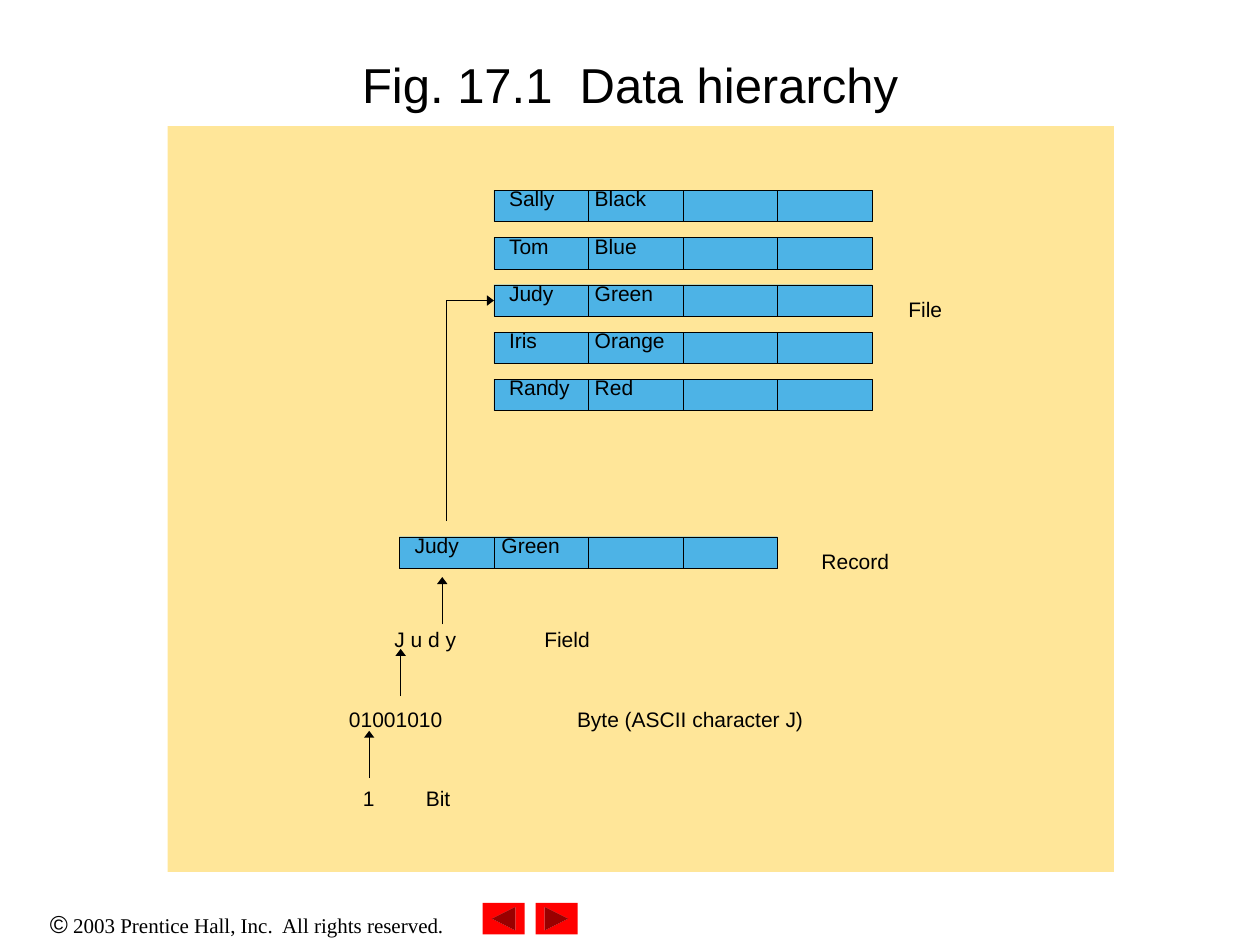
from collections import namedtuple
from dataclasses import dataclass

from lxml import etree
from pptx import Presentation
from pptx import util as u
from pptx.dml.color import RGBColor
from pptx.enum import shapes, text
from pptx.oxml.ns import qn

Box = namedtuple("Box", "x y w h")


@dataclass(frozen=True)
class Theme:
    ink: RGBColor = RGBColor(0, 0, 0)
    panel: RGBColor = RGBColor(0xFF, 0xE6, 0x99)
    bar: RGBColor = RGBColor(0x4D, 0xB3, 0xE6)
    button: RGBColor = RGBColor(0xFF, 0, 0)
    sans: str = "Arial"
    serif: str = "Times New Roman"
    title: int = 28
    mark: int = 14
    body: int = 12
    line: float = 0.25
    leading: float = 0.64


T = Theme()
COL, ROW = 0.75, 0.125  # diagram grid, inches
PEOPLE = [("Sally", "Black"), ("Tom", "Blue"), ("Judy", "Green"),
          ("Iris", "Orange"), ("Randy", "Red")]


def inches(*lengths):
    return [u.Inches(n) for n in lengths]


def style(r, size, font=T.sans):
    r.font.size = u.Pt(size)
    r.font.name = font
    r.font.color.rgb = T.ink


def write(tf, words, left=0, top=0):
    """Write one tightly led line at the top left of a frame."""
    tf.margin_left, tf.margin_top = inches(left, top)
    tf.margin_right = tf.margin_bottom = 0
    tf.vertical_anchor = text.MSO_ANCHOR.TOP
    p = tf.paragraphs[0]
    p.text = words
    p.alignment = text.PP_ALIGN.LEFT
    p.line_spacing = T.leading
    for r in p.runs:
        style(r, T.body)


def block(parent, kind, box, fill=None):
    sp = parent.add_shape(kind, *inches(*box))
    sp.shadow.inherit = False
    sp.line.fill.background()
    if fill is None:
        sp.fill.background()
    else:
        sp.fill.solid()
        sp.fill.fore_color.rgb = fill
    return sp


def outline(sp, color=T.ink, arrow=False):
    sp.line.color.rgb = color
    sp.line.width = u.Pt(T.line)
    if arrow:
        etree.SubElement(sp.line._get_or_add_ln(), qn("a:tailEnd"),
                         type="triangle", w="med", len="sm")


def label(parent, x, y, w, words):
    tf = parent.add_textbox(*inches(x, y, w, 2 * ROW)).text_frame
    tf.word_wrap = True
    write(tf, words)


def up_arrow(parent, x, y):
    sp = parent.add_connector(shapes.MSO_CONNECTOR.STRAIGHT,
                              *inches(x, y + 3 * ROW, x, y))
    outline(sp, arrow=True)
    etree.SubElement(sp._element.spPr, qn("a:effectLst"))


def record(parent, x, y, names, second=0.05):
    """A bar divided into four fields, the first two filled in."""
    rect = shapes.MSO_SHAPE.RECTANGLE
    bar = block(parent, rect, Box(x, y, 4 * COL, 2 * ROW), T.bar)
    outline(bar, T.bar)
    for i, (words, left) in enumerate(zip((*names, "", ""), (0.12, second, 0, 0))):
        field = block(parent, rect, Box(x + i * COL, y, COL, 2 * ROW))
        outline(field)
        if words:
            write(field.text_frame, words, left, 0.03)


def elbow_arrow(parent, x, y):
    """From above the record up to the left side of its row in the file."""
    pen = parent.build_freeform(*inches(x, y), scale=1.0)
    top = y - 14 * ROW
    pen.add_line_segments([inches(x, top), inches(x + COL / 2, top)], close=False)
    sp = pen.convert_to_shape()
    sp.shadow.inherit = False
    sp.fill.background()
    outline(sp, arrow=True)


def diagram(s, box):
    parent = s.shapes.add_group_shape().shapes
    block(parent, shapes.MSO_SHAPE.RECTANGLE, box, T.panel)
    left, top = box.x + 1.84, box.y + 0.51

    # File: one record every three rows
    for i, names in enumerate(PEOPLE):
        record(parent, left + COL, top + 3 * i * ROW, names)
    label(parent, box.x + 5.88, box.y + 1.42, 0.44, "File")

    # Record
    record(parent, left, top + 22 * ROW, ("Judy", "Green"), second=0.06)
    elbow_arrow(parent, left + COL / 2, top + 21 * ROW)
    label(parent, box.x + 5.19, box.y + 3.42, 0.64, "Record")

    # Field, byte and bit: sample, its x and width, name, its x and width
    levels = [("J u d y", 1.8, 0.75, "Field", 2.99, 0.54),
              ("01001010", 1.44, 0.84, "Byte (ASCII character J)", 3.25, 2.44),
              ("1", 1.55, 0.14, "Bit", 2.05, 0.34)]
    for i, (sample, sx, sw, name, nx, nw) in enumerate(levels):
        y = box.y + 4.04 + 0.63 * i
        label(parent, box.x + sx, y, sw, sample)
        label(parent, box.x + nx, y, nw, name)
    for x, y in [(2.18, 3.58), (1.85, 4.15), (1.6, 4.8)]:
        up_arrow(parent, box.x + x, box.y + y)


def title(s, box):
    sp = s.shapes.title
    sp.left, sp.top, sp.width, sp.height = inches(*box)
    tf = sp.text_frame
    tf.text = "Fig. 17.1  Data hierarchy"
    tf.vertical_anchor = text.MSO_ANCHOR.MIDDLE
    p = tf.paragraphs[0]
    p.alignment = text.PP_ALIGN.CENTER
    style(p.runs[0], T.title)


def footer(s, box):
    # Copyright line
    tf = s.shapes.add_textbox(*inches(box.x, box.y, 3.92, box.h)).text_frame
    tf.word_wrap = True
    p = tf.paragraphs[0]
    p.alignment = text.PP_ALIGN.CENTER
    for words, size, font in [
            ("©", T.mark, T.sans),
            (" 2003 Prentice Hall, Inc.  All rights reserved.", T.body, T.serif)]:
        r = p.add_run()
        r.text = words
        style(r, size, font)

    # Previous and next buttons
    kinds = (shapes.MSO_SHAPE.ACTION_BUTTON_BACK_OR_PREVIOUS,
             shapes.MSO_SHAPE.ACTION_BUTTON_FORWARD_OR_NEXT)
    for i, kind in enumerate(kinds):
        block(s.shapes, kind, Box(box.x + 3.83 + 0.42 * i, box.y, box.h, 0.25), T.button)


def main():
    prs = Presentation()
    prs.slide_width, prs.slide_height = inches(10, 7.5)
    s = prs.slides.add_slide(prs.slide_layouts[5])
    title(s, Box(0.75, 0.08, 8.5, 1.17))
    diagram(s, Box(1.33, 1, 7.51, 5.92))
    footer(s, Box(0, 7.5 - 1 / 3, 10, 1 / 3))
    prs.save("out.pptx")


if __name__ == "__main__":
    main()
